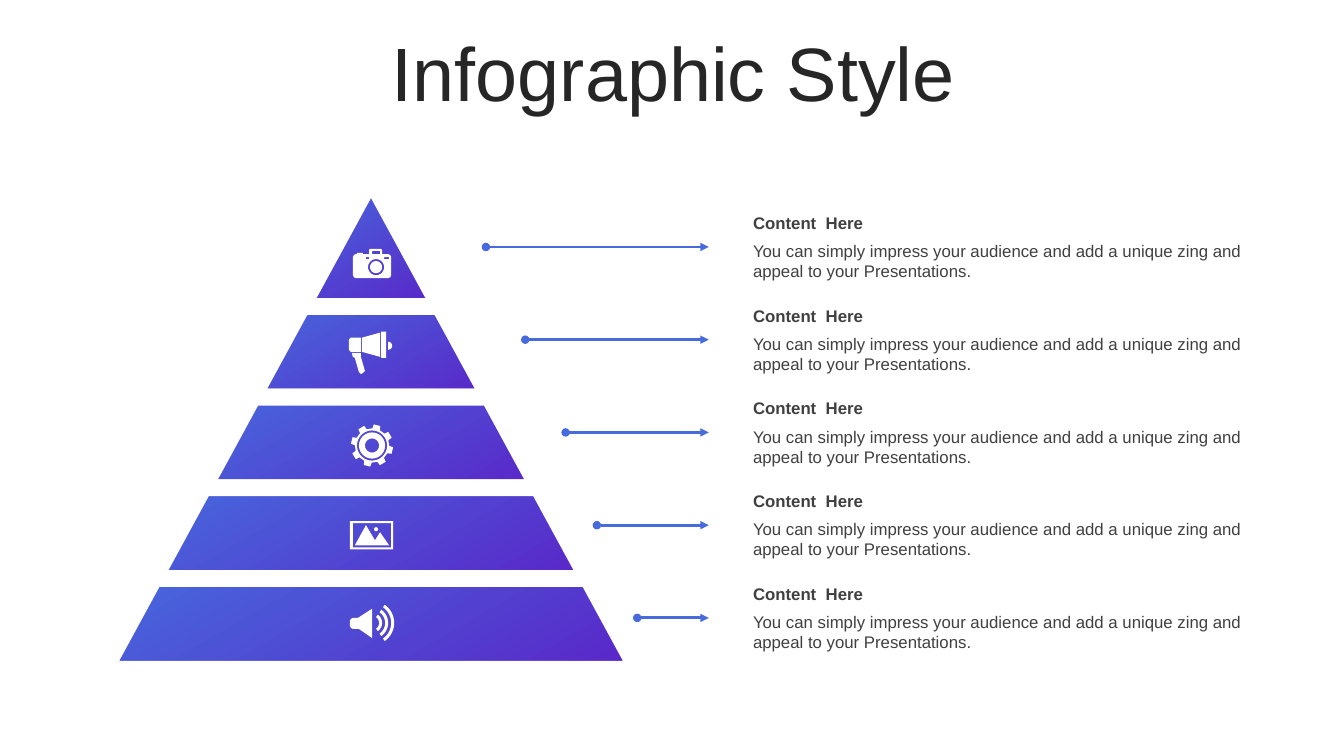
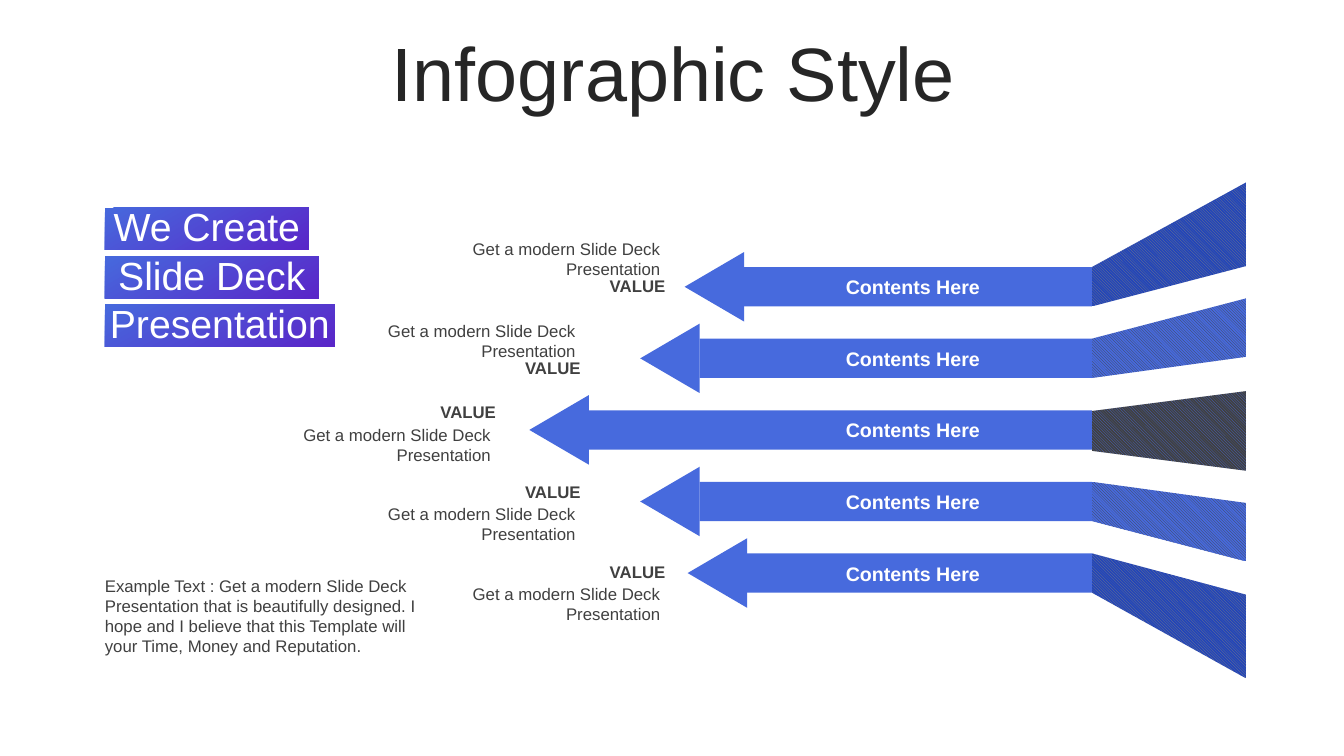
from dataclasses import dataclass
from math import cos, radians, sin

from lxml.etree import SubElement
from pptx import Presentation
from pptx.dml.color import RGBColor
from pptx.enum.dml import MSO_PATTERN
from pptx.enum.shapes import MSO_CONNECTOR, MSO_SHAPE
from pptx.enum.text import MSO_ANCHOR, MSO_AUTO_SIZE, PP_ALIGN
from pptx.oxml.ns import qn
from pptx.util import Inches, Pt


@dataclass(frozen=True)
class Theme:
    """Colours, font and type sizes of the deck."""
    font: str = "Arial"
    ink: str = "262626"
    text: str = "404040"
    white: str = "FFFFFF"
    blue: str = "476ADD"
    navy: str = "2245B9"
    grey: str = "808080"
    fade: tuple = ("4669DD", "5A26C8")
    title: int = 54
    tag: int = 28
    label: int = 14
    body: int = 12


THEME = Theme()
LEFT, MID, RIGHT = PP_ALIGN.LEFT, PP_ALIGN.CENTER, PP_ALIGN.RIGHT


def tint(code):
    """Turn a hex code into a colour."""
    return RGBColor.from_string(code)


def arc(x, y, size, start=0, stop=360, step=15):
    """List the points of an arc, with angles in degrees."""
    return [(x + size * cos(radians(a)), y + size * sin(radians(a)))
            for a in range(start, stop + 1, step)]


def box(left, top, right, low):
    """List the corners of a box."""
    return [(left, top), (right, top), (right, low), (left, low)]


def wave(x, y, size, thick):
    """Outline a curved band that opens to the left."""
    return (arc(x, y, size, -55, 55, 10)
            + arc(x, y, size - thick, -55, 55, 10)[::-1])


def gear(x, y):
    """Outline a gear with eight teeth."""
    return [(x + size * cos(radians(turn + shift)),
             y + size * sin(radians(turn + shift)))
            for turn in range(-76, 284, 45)
            for shift, size in ((-13, 0.17), (-9, 0.21), (9, 0.21), (13, 0.17))]


class Deck:
    """Holds the style and the current slide."""

    def __init__(self, theme):
        """Start an empty wide deck."""
        self.theme = theme
        self.show = Presentation()
        self.show.slide_width = Inches(13.33)
        self.show.slide_height = Inches(7.5)
        self.slide = None

    def page(self, title):
        """Add a slide with its title."""
        self.slide = self.show.slides.add_slide(self.show.slide_layouts[5])
        head = self.slide.shapes.title
        head.left, head.top = Inches(0.35), Inches(0.37)
        head.width, head.height = Inches(12.66), Inches(0.79)
        self.label(head, title, self.theme.title, self.theme.ink, MID)
        head.text_frame.paragraphs[0].line_spacing = 0.9

    def label(self, shape, text, size, code, align=LEFT, bold=False,
              anchor=MSO_ANCHOR.MIDDLE, pad=None):
        """Put styled text into a shape."""
        frame = shape.text_frame
        frame.word_wrap = True
        frame.auto_size = MSO_AUTO_SIZE.NONE
        frame.vertical_anchor = anchor
        if pad:
            (frame.margin_left, frame.margin_top,
             frame.margin_right, frame.margin_bottom) = map(Inches, pad)
        frame.text = text
        para = frame.paragraphs[0]
        para.alignment = align
        para.font.name = self.theme.font
        para.font.size = Pt(size)
        para.font.bold = bold
        para.font.color.rgb = tint(code)

    def note(self, spot, text, **style):
        """Add a text box in the body style unless told otherwise."""
        style = {"size": self.theme.body, "code": self.theme.text,
                 "anchor": MSO_ANCHOR.TOP} | style
        self.label(self.slide.shapes.add_textbox(*map(Inches, spot)), text, **style)

    def plain(self, shape):
        """Take shadow and outline off a shape."""
        shape.shadow.inherit = False
        shape.line.fill.background()
        return shape

    def form(self, kind, spot, turn=0):
        """Add a preset shape without outline."""
        shape = self.slide.shapes.add_shape(kind, *map(Inches, spot))
        shape.rotation = turn
        return self.plain(shape)

    def draw(self, *loops):
        """Add one free outline made of closed loops."""
        pen = None
        for loop in loops:
            (x, y), *rest = [(Inches(x), Inches(y)) for x, y in loop]
            if pen is None:
                pen = self.slide.shapes.build_freeform(x, y)
            else:
                pen.move_to(x, y)
            pen.add_line_segments(rest, close=True)
        return self.plain(pen.convert_to_shape())

    def paint(self, shape, code):
        """Fill a shape with one colour."""
        shape.fill.solid()
        shape.fill.fore_color.rgb = tint(code)

    def blend(self, shape):
        """Fill a shape with the theme gradient."""
        shape.fill.gradient()
        shape.fill.gradient_angle = 300
        for place, (stop, code) in enumerate(
                zip(shape.fill.gradient_stops, self.theme.fade)):
            stop.position = place
            stop.color.rgb = tint(code)

    def hatch(self, shape, fore, back):
        """Fill a shape with dark diagonal lines."""
        shape.fill.patterned()
        shape.fill.pattern = MSO_PATTERN.DARK_DOWNWARD_DIAGONAL
        shape.fill.fore_color.rgb = tint(fore)
        shape.fill.back_color.rgb = tint(back)

    def arrow(self, start, end, y):
        """Add a level arrow that starts with a dot."""
        line = self.slide.shapes.add_connector(
            MSO_CONNECTOR.STRAIGHT, *map(Inches, (start, y, end, y)))
        line.line.color.rgb = tint(self.theme.blue)
        line.line.width = Pt(2)
        frame = line.element.spPr
        edge = frame.find(qn("a:ln"))
        SubElement(edge, qn("a:headEnd"), type="oval")
        SubElement(edge, qn("a:tailEnd"), type="triangle")
        SubElement(frame, qn("a:effectLst"))

    def tier(self, top, height):
        """Add a pyramid tier whose sides follow the common slope."""
        peak, axis, slope = 1.79, 3.68, 0.544
        width = 2 * slope * (top + height - peak)
        shape = self.form(MSO_SHAPE.TRAPEZOID,
                          (axis - width / 2, top, width, height))
        shape.adjustments[0] = slope
        self.blend(shape)
        shape.line.color.rgb = tint(self.theme.white)
        shape.line.width = Pt(12)

    def tag(self, top, width, text):
        """Add a gradient tag with large text."""
        shape = self.form(MSO_SHAPE.RECTANGLE, (1.04, top, width, 0.42))
        self.blend(shape)
        self.label(shape, text, self.theme.tag, self.theme.white, MID,
                   pad=(0.04, 0, 0.04, 0))
        shape.text_frame.paragraphs[0].line_spacing = Pt(30)


ICONS = {
    "camera": [
        [(3.5, 2.55), (3.51, 2.53), (3.53, 2.52), (3.54, 2.52), (3.54, 2.51),
         (3.6, 2.51), (3.6, 2.52), (3.66, 2.52), (3.66, 2.48), (3.67, 2.47),
         (3.78, 2.47), (3.79, 2.48), (3.79, 2.52), (3.85, 2.52), (3.87, 2.53),
         (3.88, 2.55), (3.88, 2.73), (3.87, 2.75), (3.85, 2.76), (3.53, 2.76),
         (3.51, 2.75), (3.5, 2.73)],
        box(3.69, 2.49, 3.77, 2.52), box(3.63, 2.55, 3.66, 2.57),
        box(3.81, 2.55, 3.86, 2.57),
        arc(3.73, 2.65, 0.08), arc(3.73, 2.65, 0.06)],
    "horn": [
        [(3.49, 3.5), (3.58, 3.5), (3.58, 3.54), (3.62, 3.68), (3.6, 3.7),
         (3.58, 3.71), (3.56, 3.69), (3.52, 3.55), (3.5, 3.54)],
        [(3.48, 3.35), (3.58, 3.35), (3.58, 3.49), (3.48, 3.49), (3.46, 3.47),
         (3.46, 3.37)],
        [(3.59, 3.35), (3.77, 3.3), (3.77, 3.54), (3.59, 3.49)],
        box(3.78, 3.29, 3.83, 3.55),
        arc(3.85, 3.43, 0.04, -90, 90)],
    "gear": [gear(3.69, 4.42)] + [arc(3.69, 4.42, r) for r in (0.15, 0.13, 0.07)],
    "photo": [
        box(3.47, 5.17, 3.9, 5.45), box(3.5, 5.19, 3.88, 5.43),
        [(3.52, 5.41), (3.63, 5.21), (3.72, 5.36), (3.77, 5.28), (3.86, 5.41)],
        arc(3.73, 5.25, 0.02)],
    "sound": [
        [(3.69, 6.04), (3.69, 6.33), (3.56, 6.24), (3.5, 6.24), (3.48, 6.23),
         (3.47, 6.21), (3.47, 6.16), (3.48, 6.14), (3.5, 6.13), (3.55, 6.13)],
        wave(3.69, 6.18, 0.1, 0.03), wave(3.69, 6.18, 0.16, 0.03),
        wave(3.69, 6.18, 0.22, 0.03)],
}


def stack(deck):
    """Build the pyramid slide."""
    deck.page("Infographic Style")
    deck.tier(1.79, 1.25)
    for row in range(4):
        deck.tier(3.04 + 0.9 * row, 0.9)
    for row, start in enumerate((4.82, 5.21, 5.61, 5.92, 6.32)):
        y = 2.45 + 0.92 * row
        deck.arrow(start, 7.03, y)
        deck.note((7.37, y - 0.39, 5.11, 0.3), "Content  Here", bold=True,
                  anchor=MSO_ANCHOR.MIDDLE)
        deck.note((7.37, y - 0.11, 5.11, 0.5),
                  "You can simply impress your audience and add a unique zing "
                  "and appeal to your Presentations.")
    for loops in ICONS.values():
        deck.paint(deck.draw(*loops), THEME.white)


def fan(deck):
    """Build the slide of arrows that fan out."""
    deck.page("Infographic Style")
    tags = ((2.02, "We Create"), (2.12, "Slide Deck"), (2.28, "Presentation"))
    for row, (width, text) in enumerate(tags):
        deck.tag(2.06 + 0.48 * row, width, text)
    flush = (0, 0, 0, 0)
    deck.note((1.04, 5.71, 3.27, 0.81),
              "Example Text : Get a modern Slide Deck Presentation that is "
              "beautifully designed. I hope and I believe that this Template "
              "will your Time, Money and Reputation.", pad=flush)

    edge, far, thick = 10.83, 12.36, 0.39
    outer, inner = (THEME.grey, THEME.navy), (THEME.text, THEME.blue)
    rows = ((6.79, 1.81, 2.64, outer, 2.37, 2.74),
            (6.35, 2.96, 3.54, inner, 3.18, 3.55),
            (5.25, 3.88, 4.67, inner[::-1], 4.21, 3.99),
            (6.35, 4.99, 5.57, inner, 5.0, 4.78),
            (6.82, 5.9, 6.73, outer, 5.79, 5.57))
    for row, (tip, high, low, hues, text, value) in enumerate(rows):
        top = 2.65 + 0.71 * row
        neck = tip + 0.59
        if row == 2:
            tall, wide = low - high, far - edge
            band = deck.form(
                MSO_SHAPE.TRAPEZOID,
                ((edge + far - tall) / 2, (high + low - wide) / 2, tall, wide), 270)
        else:
            band = deck.draw([(edge, top), (far, high), (far, low),
                              (edge, top + thick)])
        deck.hatch(band, *hues)
        deck.paint(deck.form(MSO_SHAPE.RECTANGLE,
                             (neck, top, edge - neck, thick)), THEME.blue)
        deck.paint(deck.form(MSO_SHAPE.ISOSCELES_TRIANGLE,
                             (tip - 0.05, top - 0.1, 0.69, 0.59), 270), THEME.blue)
        deck.note((8.15, top + 0.08, 1.81, 0.24), "Contents Here", bold=True,
                  size=THEME.label, code=THEME.white, align=MID, pad=flush)
        left = 2.88 + 0.84 * abs(row - 2)
        deck.note((left, text, 2.04, 0.4), "Get a modern Slide Deck Presentation",
                  align=RIGHT, pad=(0, 0, 0.05, 0))
        deck.note((left, value, 2.04, 0.2), "VALUE", bold=True, align=RIGHT,
                  pad=flush)


def main():
    """Build and save the deck."""
    deck = Deck(THEME)
    stack(deck)
    fan(deck)
    deck.show.save("out.pptx")


if __name__ == "__main__":
    main()
